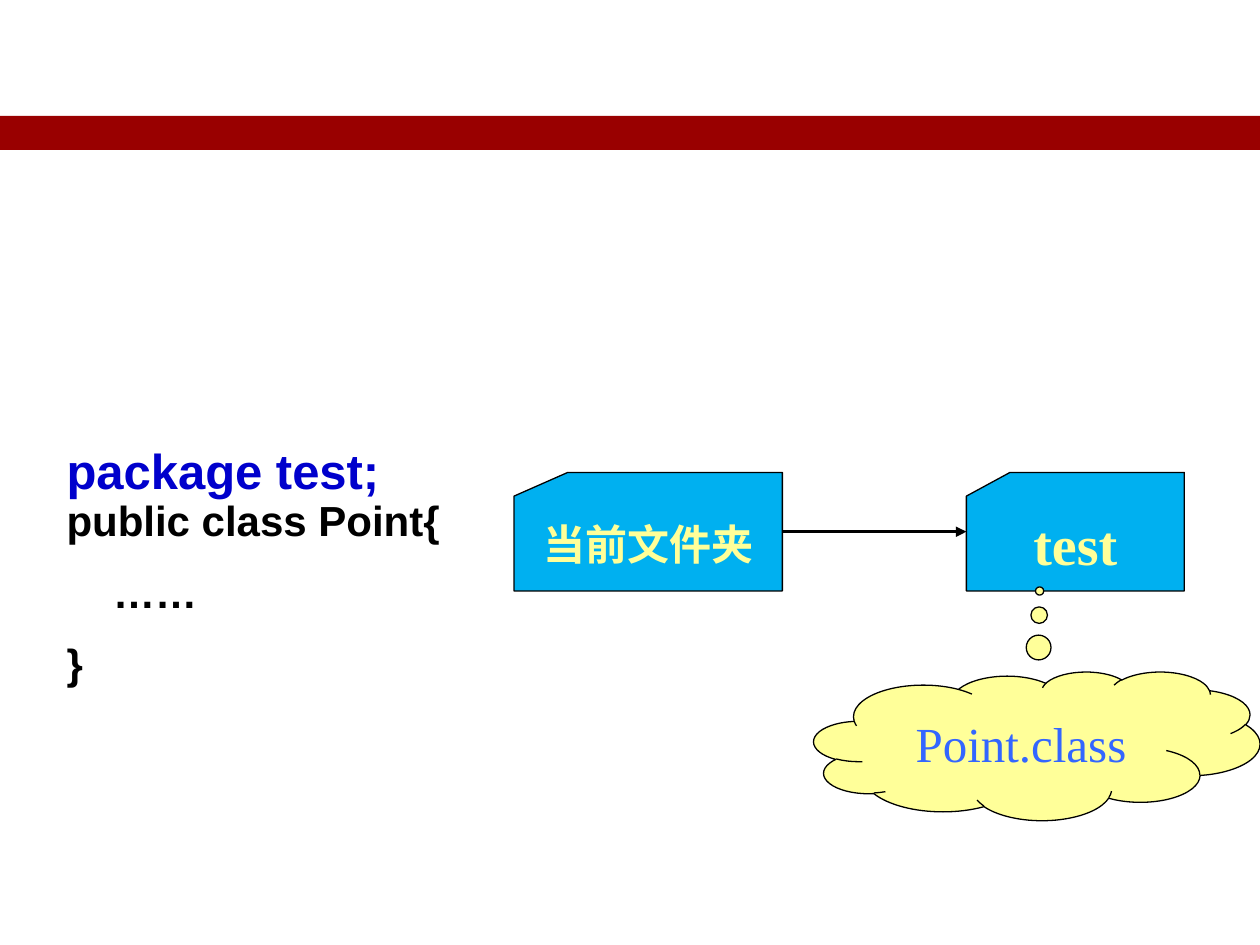
import pptx
import pptx.dml.color
import pptx.enum.shapes
import pptx.enum.text
import pptx.oxml.ns
import pptx.util
from lxml import etree
from pptx.util import Inches

SHAPES = pptx.enum.shapes.MSO_SHAPE
BLACK = "000000"
YELLOW = "FFFF99"
SERIF = "Times New Roman"


def color(value):
    return pptx.dml.color.RGBColor.from_string(value)


def add_run(paragraph, text, size, font_name, font_color, bold=True):
    run = paragraph.add_run()
    run.text = text
    run.font.size = pptx.util.Pt(size)
    run.font.name = font_name
    run.font.bold = bold
    run.font.color.rgb = color(font_color)


def add_filled_shape(slide, kind, box, fill, outlined=True):
    shape = slide.shapes.add_shape(kind, *box)
    shape.shadow.inherit = False
    shape.fill.solid()
    shape.fill.fore_color.rgb = color(fill)
    if outlined:
        shape.line.color.rgb = color(BLACK)
        shape.line.width = pptx.util.Pt(0.75)
    else:
        shape.line.fill.background()
    return shape


def add_label(shape, text, size, font_color, bold, wrap):
    frame = shape.text_frame
    frame.word_wrap = wrap
    frame.vertical_anchor = pptx.enum.text.MSO_ANCHOR.MIDDLE
    paragraph = frame.paragraphs[0]
    paragraph.alignment = pptx.enum.text.PP_ALIGN.CENTER
    add_run(paragraph, text, size, SERIF, font_color, bold)


def add_code(slide, box):
    frame = slide.shapes.add_textbox(*box).text_frame
    frame.word_wrap = True
    lines = ["public class Point{", "    ……", "}"]
    for index, line in enumerate(lines):
        paragraph = frame.add_paragraph() if index else frame.paragraphs[0]
        paragraph.line_spacing = 0.9
        paragraph.space_before = pptx.util.Pt(10.5 if index else 0)
        paragraph.space_after = pptx.util.Pt(4.5)
        if index == 0:
            add_run(paragraph, "package test; ", 28, "Arial", "0000CC")
            paragraph.add_line_break()
        add_run(paragraph, line, 24, "Arial", BLACK)


def add_folder(slide, box, name, size):
    folder = add_filled_shape(slide, SHAPES.FLOWCHART_CARD, box, "00B0F0")
    add_label(folder, name, size, YELLOW, bold=True, wrap=False)
    return folder


def add_arrow(slide, source, target):
    """Join the right side of source to the left side of target."""
    arrow = slide.shapes.add_connector(
        pptx.enum.shapes.MSO_CONNECTOR.STRAIGHT, 0, 0, 0, 0)
    arrow.begin_connect(source, 3)
    arrow.end_connect(target, 1)
    arrow.line.color.rgb = color(BLACK)
    arrow.line.width = pptx.util.Pt(2)
    qn = pptx.oxml.ns.qn
    etree.SubElement(arrow.line._get_or_add_ln(), qn("a:tailEnd"), type="triangle")
    etree.SubElement(arrow._element.spPr, qn("a:effectLst"))


def add_cloud(slide, box, text):
    cloud = add_filled_shape(slide, SHAPES.CLOUD_CALLOUT, box, YELLOW)
    cloud.adjustments[0] = 0.006
    cloud.adjustments[1] = -1.042
    add_label(cloud, text, 28, "3366FF", bold=False, wrap=True)


def add_folder_diagram(slide, left, top):
    height = Inches(0.94)
    current = add_folder(slide, (left, top, Inches(2.13), height), "当前文件夹", 24)
    package = add_folder(
        slide, (left + Inches(3.59), top, Inches(1.73), height), "test", 32)
    add_cloud(slide, (left + Inches(2.38), top + Inches(1.58),
                      Inches(3.54), Inches(1.18)), "Point.class")
    add_arrow(slide, current, package)


def main():
    presentation = pptx.Presentation()
    presentation.slide_width = Inches(10)
    presentation.slide_height = Inches(7.5)
    slide = presentation.slides.add_slide(presentation.slide_layouts[6])
    band = (0, Inches(0.92), presentation.slide_width, Inches(0.27))
    add_filled_shape(slide, SHAPES.RECTANGLE, band, "990000", outlined=False)
    add_code(slide, (Inches(0.43), Inches(3.5), Inches(4.1), Inches(2.02)))
    add_folder_diagram(slide, Inches(4.08), Inches(3.75))
    presentation.save("out.pptx")


if __name__ == "__main__":
    main()
